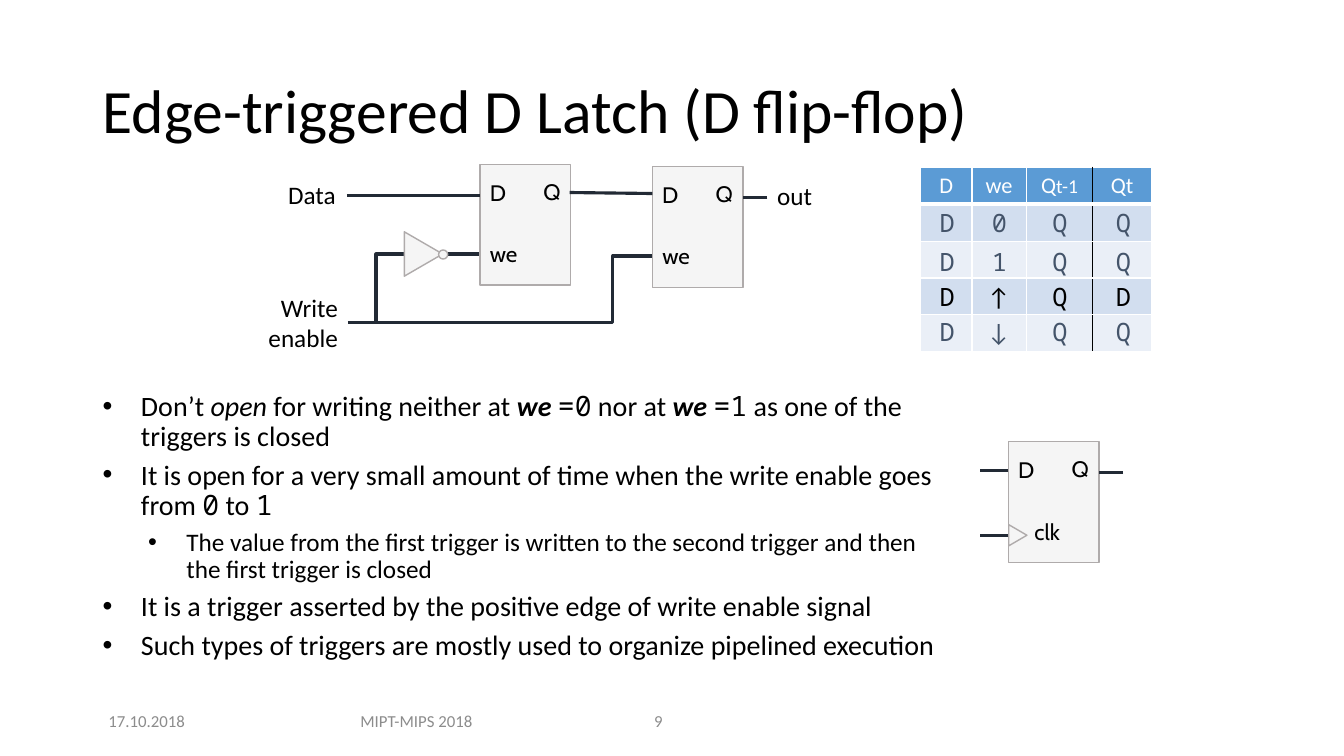
"""Build the slide on the edge-triggered D latch."""
from lxml.etree import SubElement
from pptx import Presentation
from pptx.dml.color import RGBColor
from pptx.enum.shapes import MSO_CONNECTOR as Connector, MSO_SHAPE as Preset
from pptx.enum.text import MSO_ANCHOR as Anchor, MSO_AUTO_SIZE as AutoSize, PP_ALIGN as Align
from pptx.oxml.ns import qn
from pptx.util import Inches, Pt


def color(value):
    return RGBColor.from_string(value)


class SlideBuilder:
    sans, mono, label = "Calibri", "Noto Sans Mono", "Cabin"
    black, white, gray, slate = "000000", "FFFFFF", "8C8C8C", "44546A"
    wire_color, gate_fill, gate_line = "222A35", "F5F5F5", "AFABAB"
    header_fill, band_fills = "5B9BD5", ("D2DEEF", "EAEFF7")

    def __init__(self, slide):
        self.slide = slide

    def style(self, run, size, font=sans, fill=black, bold=None, italic=None):
        run.font.size = Pt(size)
        run.font.name = font
        run.font.color.rgb = color(fill)
        run.font.bold = bold
        run.font.italic = italic

    def frame(self, left, top, width, height):
        shape = self.slide.shapes.add_textbox(*map(Inches, (left, top, width, height)))
        shape.text_frame.word_wrap = True
        return shape.text_frame

    def text(self, text, box, size, font=sans, fill=black, align=Align.LEFT,
             wrap=False, anchor=Anchor.TOP):
        frame = self.frame(*box)
        frame.word_wrap = wrap
        frame.vertical_anchor = anchor
        if anchor == Anchor.TOP:
            frame.auto_size = AutoSize.SHAPE_TO_FIT_TEXT
        frame.text = text
        paragraph = frame.paragraphs[0]
        paragraph.alignment = align
        self.style(paragraph.runs[0], size, font, fill)
        return paragraph

    def bullets(self, box, items):
        frame = self.frame(*box)
        for index, (level, pieces) in enumerate(items):
            paragraph = frame.add_paragraph() if index else frame.paragraphs[0]
            paragraph.level = level
            properties = paragraph._p.get_or_add_pPr()
            properties.set("marL", str(Inches(0.38 + 0.45 * level)))
            properties.set("indent", str(Inches(-0.38)))
            SubElement(properties, qn("a:buFont"), typeface="Arial")
            SubElement(properties, qn("a:buChar"), char="•")
            paragraph.line_spacing = 0.9
            if index:
                paragraph.space_before = Pt(6)
            for text, kind in pieces:
                run = paragraph.add_run()
                run.text = text
                self.style(run, 18 if level else 20,
                           self.mono if kind == "mono" else self.sans,
                           bold=kind == "strong", italic=kind in ("strong", "italic"))

    def gate(self, preset, left, top, width, height, rotation=0):
        shape = self.slide.shapes.add_shape(preset, *map(Inches, (left, top, width, height)))
        shape.shadow.inherit = False
        shape.rotation = rotation
        shape.fill.solid()
        shape.fill.fore_color.rgb = color(self.gate_fill)
        shape.line.color.rgb = color(self.gate_line)
        shape.line.width = Pt(1)

    def wire(self, start, end, bend=None):
        kind = Connector.ELBOW if bend else Connector.STRAIGHT
        connector = self.slide.shapes.add_connector(kind, *map(Inches, start + end))
        connector.line.color.rgb = color(self.wire_color)
        connector.line.width = Pt(2.25)
        properties = connector._element.spPr
        SubElement(properties, qn("a:effectLst"))
        if bend:
            guides = properties.find(qn("a:prstGeom")).get_or_add_avLst()
            SubElement(guides, qn("a:gd"), name="adj1", fmla=f"val {round(bend * 100000)}")

    def latch(self, left, top):
        self.gate(Preset.RECTANGLE, left, top, 0.9, 1.2)
        self.text("D", (left, top + 0.1, 0.36, 0.37), 16, self.label)
        self.text("Q", (left + 0.53, top + 0.09, 0.38, 0.37), 16, self.label)

    def border(self, cell, side, fill, width):
        properties = cell._tc.get_or_add_tcPr()
        line = SubElement(properties, qn(f"a:ln{side}"), w=str(Pt(width)))
        SubElement(SubElement(line, qn("a:solidFill")), qn("a:srgbClr"), val=fill)

    def truth_table(self, left, top, height, widths, header, rows):
        count = len(rows) + 1
        graphic = self.slide.shapes.add_table(
            count, len(widths), *map(Inches, (left, top, sum(widths), height)))
        table = graphic.table
        for column, width in zip(table.columns, widths):
            column.width = Inches(width)
        for row_index, row in enumerate(table.rows):
            row.height = Inches(height / count)
            for column_index, cell in enumerate(row.cells):
                edges = {"L": self.black if column_index == 3 else self.white,
                         "R": self.black if column_index == 2 else self.white,
                         "T": self.white, "B": self.white}
                for side, fill in edges.items():
                    self.border(cell, side, fill, 3 if side == "B" and not row_index else 1)
                cell.fill.solid()
                cell.fill.fore_color.rgb = color(
                    self.band_fills[(row_index - 1) % 2] if row_index else self.header_fill)
                if row_index:
                    cell.margin_top = cell.margin_bottom = 0
                    continue
                paragraph = cell.text_frame.paragraphs[0]
                paragraph.alignment = Align.CENTER
                for text, size in header[column_index]:
                    run = paragraph.add_run()
                    run.text = text
                    self.style(run, size, fill=self.white, bold=False)
        for row_top, fill, values in rows:
            for center, value in zip((9.39, 9.91, 10.51, 11.14), values):
                arrow = value in "↑↓"
                width = 0.43 if arrow else 0.34
                self.text(value, (center - width / 2, row_top, width, 0.4), 18,
                          self.sans if arrow else self.mono, fill)


def main():
    presentation = Presentation()
    presentation.slide_width, presentation.slide_height = Inches(13.33), Inches(7.5)
    builder = SlideBuilder(presentation.slides.add_slide(presentation.slide_layouts[6]))

    title = builder.text("Edge-triggered D Latch (D flip-flop)", (0.92, 0.4, 11.5, 1.45), 44,
                         wrap=True, anchor=Anchor.MIDDLE)
    title.line_spacing = 0.9
    builder.bullets((0.92, 3.84, 8.55, 2.82), [
        (0, [("Don’t ", ""), ("open", "italic"), (" for writing neither at ", ""),
             ("we ", "strong"), ("=0", "mono"), (" nor at ", ""), ("we ", "strong"),
             ("=1", "mono"), (" as one of the triggers is closed", "")]),
        (0, [("It is open for a very small amount of time when the write enable goes from ", ""),
             ("0", "mono"), (" to ", ""), ("1", "mono")]),
        (1, [("The value from the first trigger is written to the second trigger "
              "and then the first trigger is closed", "")]),
        (0, [("It is a trigger asserted by the positive edge of write enable signal", "")]),
        (0, [("Such types of triggers are mostly used to organize pipelined execution", "")]),
    ])
    for text, left, width, align in (("17.10.2018", 0.92, 1.07, Align.CENTER),
                                     ("MIPT-MIPS 2018", 3.34, 1.58, Align.CENTER),
                                     ("9", 6.39, 0.79, Align.LEFT)):
        builder.text(text, (left, 6.95, width, 0.4), 12, fill=builder.gray, align=align,
                     wrap=True, anchor=Anchor.MIDDLE)

    for left, top in ((4.76, 1.63), (6.47, 1.65)):
        builder.latch(left, top)
        builder.text("we", (left, top + 0.7, 0.49, 0.37), 16, builder.label)
    builder.wire((3.44, 1.94), (4.76, 1.94))
    builder.wire((5.65, 1.91), (6.47, 1.92))
    builder.wire((7.61, 1.96), (7.37, 1.96))
    builder.wire((3.45, 3.2), (6.47, 2.54), bend=0.87)
    builder.wire((4.01, 2.52), (3.45, 3.2), bend=0.5)
    builder.wire((4.44, 2.52), (4.75, 2.52))
    builder.gate(Preset.ISOSCELES_TRIANGLE, 3.98, 2.33, 0.44, 0.38, rotation=90)
    builder.gate(Preset.OVAL, 4.35, 2.48, 0.09, 0.09)
    builder.text("Data", (2.76, 1.73, 0.68, 0.4), 18)
    builder.text("out", (7.61, 1.74, 0.55, 0.4), 18)
    builder.text("Write enable", (2.51, 2.85, 0.94, 0.71), 18, align=Align.RIGHT, wrap=True)

    builder.latch(10, 4.38)
    builder.gate(Preset.ISOSCELES_TRIANGLE, 9.99, 5.22, 0.21, 0.18, rotation=90)
    builder.text("clk", (10, 5.09, 0.61, 0.37), 16, builder.label, align=Align.RIGHT, wrap=True)
    builder.wire((11.14, 4.69), (10.9, 4.69))
    for height in (4.67, 5.31):
        builder.wire((10, height), (9.72, height))

    builder.truth_table(
        9.13, 1.66, 1.83, (0.51, 0.54, 0.66, 0.58),
        ([("D", 16)], [("we", 16)], [("Q", 16), ("t-1", 14)], [("Qt", 16)]),
        ((2.01, builder.slate, "D0QQ"), (2.39, builder.slate, "D1QQ"),
         (2.74, builder.black, "D↑QD"), (3.09, builder.slate, "D↓QQ")))
    presentation.save("out.pptx")


if __name__ == "__main__":
    main()
